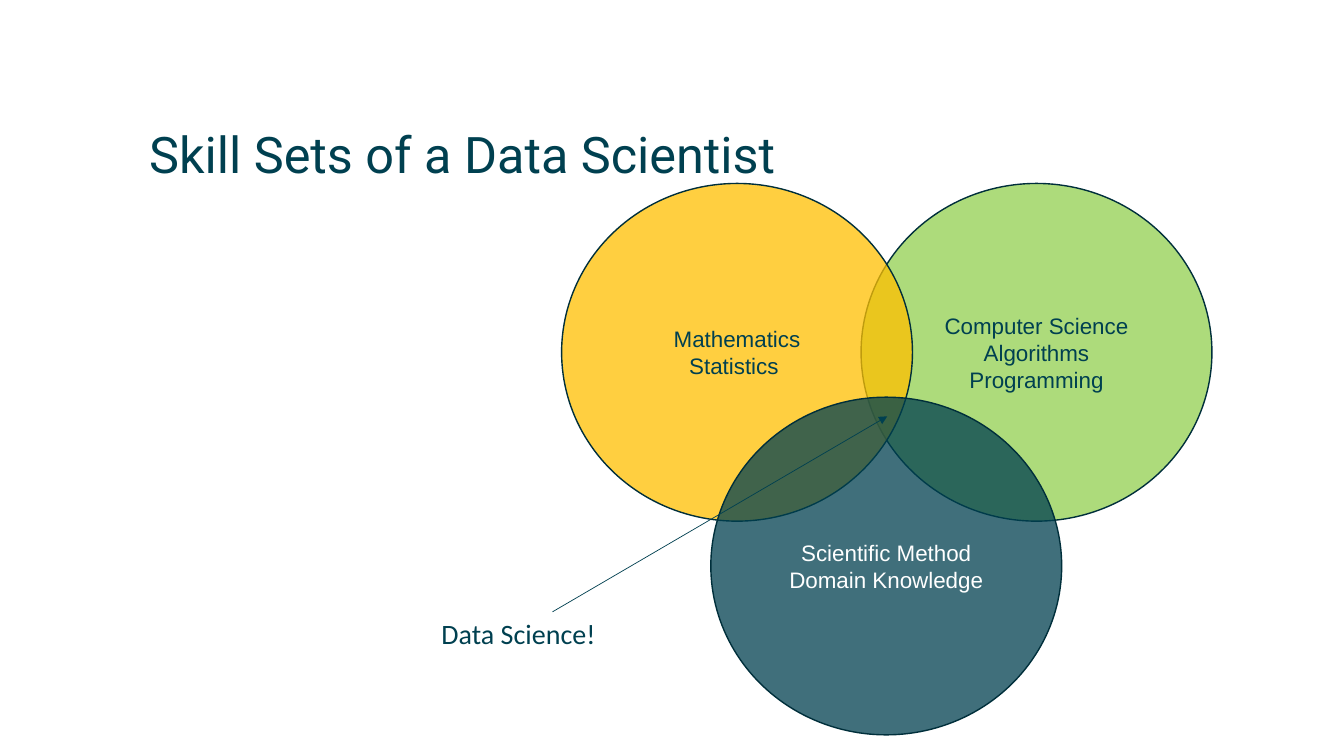
from dataclasses import dataclass

from lxml import etree
from pptx import Presentation
from pptx import util as u
from pptx.dml.color import RGBColor
from pptx.enum import shapes, text
from pptx.oxml import ns

EMU_PER_PX = 9144  # 100 px to the inch


@dataclass(frozen=True)
class Theme:
    ink: str = "004050"
    outline: str = "002F3B"
    white: str = "FFFFFF"
    green: str = "92D050"
    amber: str = "FFC000"
    title_size: int = 36
    callout_size: int = 20
    circle_size: int = 16
    title_font: str = "Roboto"
    callout_font: str = "Calibri"
    circle_font: str = "Arial"


def px(*lengths):
    return [u.Emu(length * EMU_PER_PX) for length in lengths]


def set_format(target, values):
    for name, value in values.items():
        setattr(target, name, value)


class SlideBuilder:
    def __init__(self, slide, theme):
        self.slide = slide
        self.theme = theme

    def fill_text(self, shape, lines, font, size, color, frame_format, paragraph_format):
        frame = shape.text_frame
        set_format(frame, frame_format)
        frame.text = "\n".join(lines)
        for paragraph in frame.paragraphs:
            set_format(paragraph, paragraph_format)
            run_font = paragraph.runs[0].font
            set_format(run_font, {"name": font, "size": u.Pt(size), "bold": False})
            run_font.color.rgb = RGBColor.from_string(color)

    def draw_line(self, line, color, width):
        line.color.rgb = RGBColor.from_string(color)
        line.width = u.Pt(width)

    def title(self, wording, left, top, width, height):
        shape = self.slide.shapes.title
        box = px(left, top, width, height)
        set_format(shape, dict(zip(("left", "top", "width", "height"), box)))
        margins = dict.fromkeys(
            ("margin_left", "margin_top", "margin_right", "margin_bottom"), 0)
        self.fill_text(
            shape, [wording], self.theme.title_font, self.theme.title_size, self.theme.ink,
            {**margins, "word_wrap": True, "auto_size": text.MSO_AUTO_SIZE.NONE,
             "vertical_anchor": text.MSO_ANCHOR.TOP},
            {"alignment": text.PP_ALIGN.LEFT, "line_spacing": u.Pt(42)})

    def circle(self, lines, left, top, width, height, fill, color, opacity=75):
        shape = self.slide.shapes.add_shape(
            shapes.MSO_SHAPE.OVAL, *px(left, top, width, height))
        shape.shadow.inherit = False
        shape.fill.solid()
        shape.fill.fore_color.rgb = RGBColor.from_string(fill)
        fill_color = shape._element.spPr.find(
            ns.qn("a:solidFill") + "/" + ns.qn("a:srgbClr"))
        etree.SubElement(fill_color, ns.qn("a:alpha"), val=str(opacity * 1000))
        self.draw_line(shape.line, self.theme.outline, 1)
        self.fill_text(
            shape, lines, self.theme.circle_font, self.theme.circle_size, color,
            {"word_wrap": True, "vertical_anchor": text.MSO_ANCHOR.MIDDLE},
            {"alignment": text.PP_ALIGN.CENTER})

    def arrow(self, start_x, start_y, end_x, end_y):
        connector = self.slide.shapes.add_connector(
            shapes.MSO_CONNECTOR.STRAIGHT, *px(start_x, start_y, end_x, end_y))
        self.draw_line(connector.line, self.theme.ink, 0.5)
        properties = connector._element.spPr
        line = properties.find(ns.qn("a:ln"))
        etree.SubElement(line, ns.qn("a:tailEnd"), type="triangle")
        etree.SubElement(properties, ns.qn("a:effectLst"))

    def callout(self, wording, left, top, width, height):
        shape = self.slide.shapes.add_textbox(*px(left, top, width, height))
        self.fill_text(
            shape, [wording], self.theme.callout_font, self.theme.callout_size,
            self.theme.ink,
            {"word_wrap": False, "auto_size": text.MSO_AUTO_SIZE.SHAPE_TO_FIT_TEXT},
            {"alignment": text.PP_ALIGN.LEFT})


def main():
    presentation = Presentation()
    presentation.slide_width, presentation.slide_height = px(1333, 750)
    slide = presentation.slides.add_slide(presentation.slide_layouts[5])
    theme = Theme()
    builder = SlideBuilder(slide, theme)

    # Title
    builder.title("Skill Sets of a Data Scientist", 148, 124, 1038, 75)

    # Venn diagram: two circles on top, the third centred below them
    width, height = 348, 335
    left, top, step_x, step_y = 557, 182, 297, 212
    skills = [
        (["Computer Science", "Algorithms", "Programming"], 2, 0, theme.green, theme.ink),
        (["Mathematics", "Statistics "], 0, 0, theme.amber, theme.ink),
        (["Scientific Method", "Domain Knowledge"], 1, 1, theme.ink, theme.white),
    ]
    for lines, half_steps, row, fill, color in skills:
        builder.circle(lines, left + half_steps * step_x // 2, top + row * step_y,
                       width, height, fill, color)

    # Callout pointing at the shared centre
    builder.arrow(548, 607, 880, 413)
    builder.callout("Data Science!", 428, 607, 175, 44)

    presentation.save("out.pptx")


if __name__ == "__main__":
    main()
